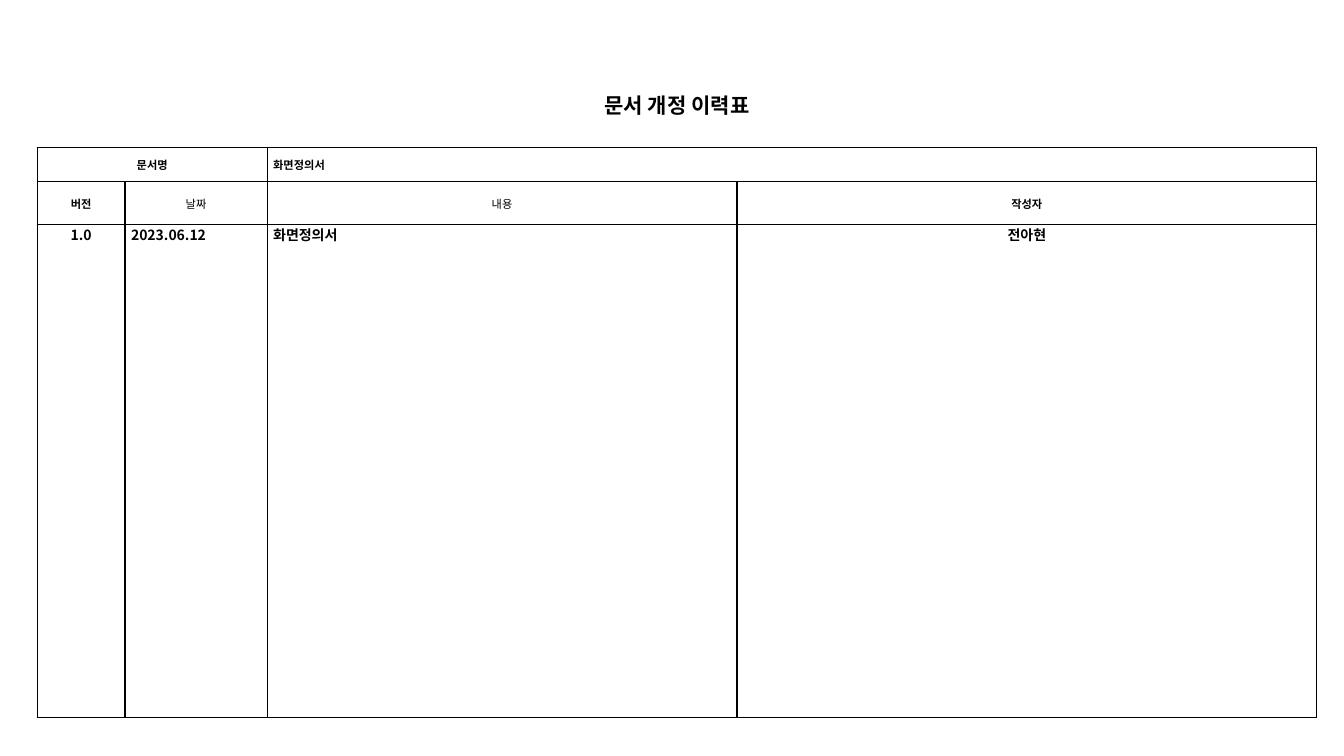
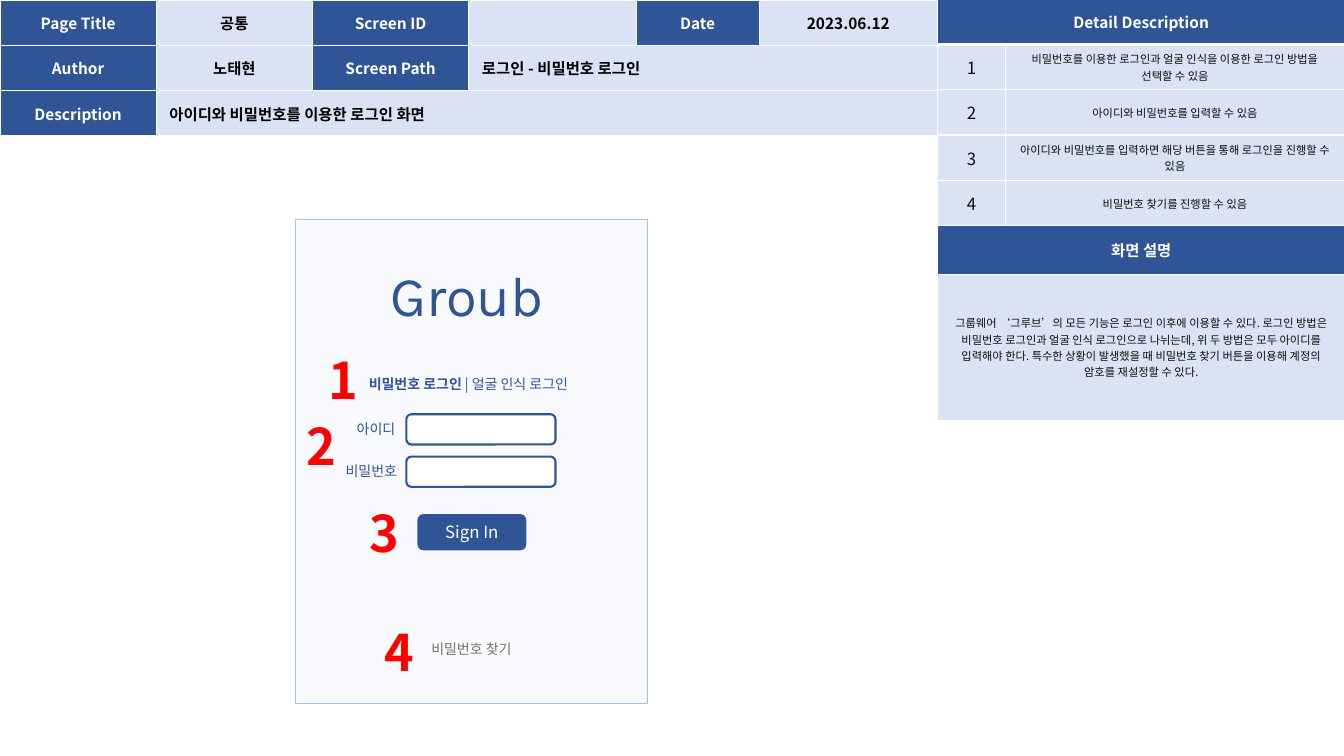
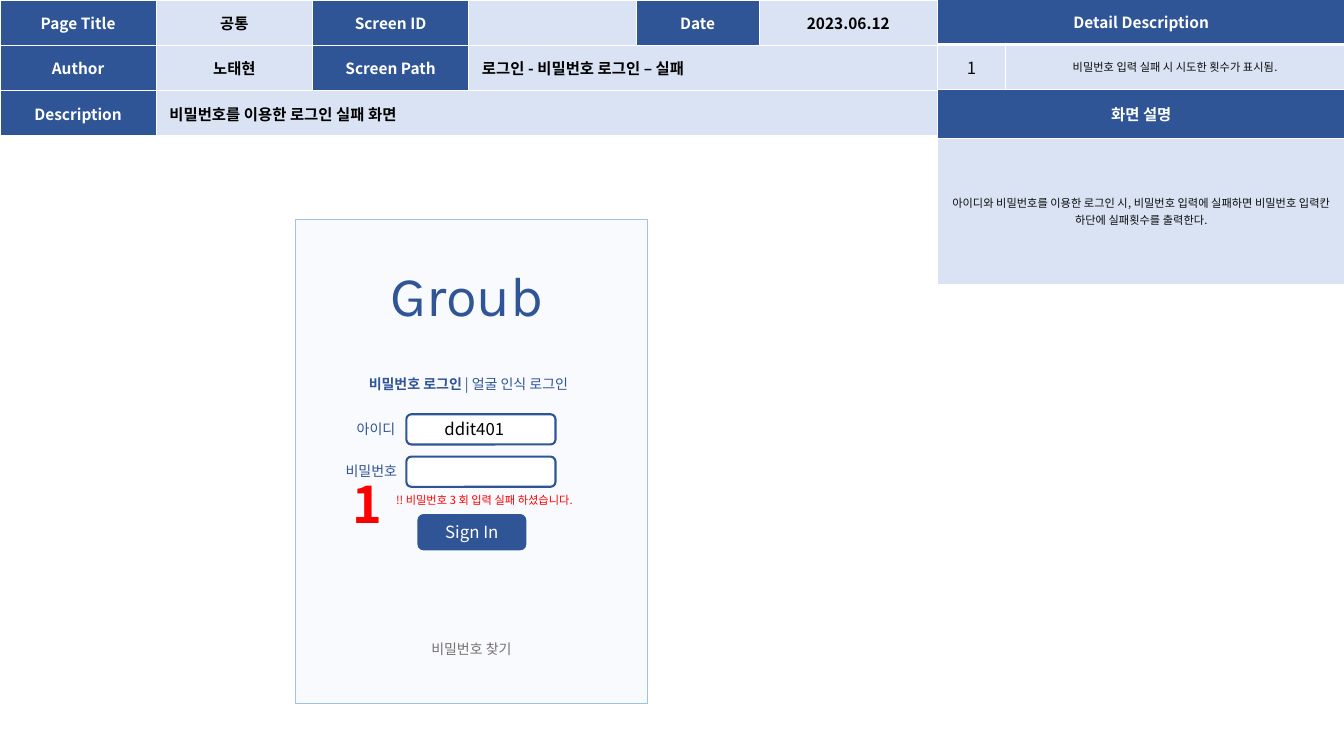
import lxml.etree
import pptx
import pptx.dml.color
import pptx.enum.shapes
import pptx.enum.text
import pptx.oxml.ns
import pptx.util

Inches = pptx.util.Inches
Pt = pptx.util.Pt
RGBColor = pptx.dml.color.RGBColor
ALIGN = pptx.enum.text.PP_ALIGN
ANCHOR = pptx.enum.text.MSO_ANCHOR
SHAPE = pptx.enum.shapes.MSO_SHAPE
qn = pptx.oxml.ns.qn

NAVY = RGBColor(0x2F, 0x55, 0x97)
PALE = RGBColor(0xDA, 0xE3, 0xF3)
PANEL = RGBColor(0xF9, 0xFA, 0xFD)
PANEL_EDGE = RGBColor(0x9D, 0xC3, 0xE6)
WHITE = RGBColor(0xFF, 0xFF, 0xFF)
BLACK = RGBColor(0, 0, 0)
INK = RGBColor(0x0D, 0x0D, 0x0D)
GREY = RGBColor(0x76, 0x71, 0x71)
RED = RGBColor(0xFF, 0, 0)

BODY_FONT = "Noto Sans CJK KR"
LOGIN_FONT = "Karla"
WIDE_MARGINS = (0.13, 0.05)
SMALL_MARGINS = (0.1, 0.04)
HISTORY_MARGINS = (0.06, 0)


class Deck:
    def __init__(self):
        self.presentation = pptx.Presentation()
        self.presentation.slide_width = Inches(13.33)
        self.presentation.slide_height = Inches(7.5)
        self.slide = None

    def new_slide(self):
        self.slide = self.presentation.slides.add_slide(self.presentation.slide_layouts[6])

    def style(self, font, size, color, bold=False, name=BODY_FONT):
        font.size = Pt(size)
        font.bold = bold
        font.color.rgb = color
        font.name = name
        latin = font._element.find(qn("a:latin"))
        east_asian = lxml.etree.Element(qn("a:ea"), typeface=name)
        latin.addnext(east_asian)

    def table(self, left, top, columns, rows):
        frame = self.slide.shapes.add_table(
            len(rows), len(columns), Inches(left), Inches(top),
            Inches(sum(columns)), Inches(sum(rows)))
        table = frame.table
        table.first_row = False
        table.horz_banding = False
        for column, width in zip(table.columns, columns):
            column.width = Inches(width)
        for row, height in zip(table.rows, rows):
            row.height = Inches(height)
        return table

    def borders(self, cell, colors, widths):
        properties = cell._tc.get_or_add_tcPr()
        for index, side in enumerate(("lnL", "lnR", "lnT", "lnB")):
            line = lxml.etree.Element(qn("a:" + side), w=str(Pt(widths[index])))
            fill = lxml.etree.SubElement(line, qn("a:solidFill"))
            lxml.etree.SubElement(fill, qn("a:srgbClr"), val=str(colors[index]))
            properties.insert(index, line)

    def cell(self, table, row, column, text, size, color, bold=True, align=ALIGN.CENTER,
             fill=None, span=1, margins=WIDE_MARGINS, anchor=ANCHOR.MIDDLE,
             edges=(WHITE,) * 4, widths=(1,) * 4):
        cell = table.cell(row, column)
        if span > 1:
            cell.merge(table.cell(row, column + span - 1))
        for offset in range(span):
            part = table.cell(row, column + offset)
            self.borders(part, edges, widths)
            if fill is None:
                part.fill.background()
            else:
                part.fill.solid()
                part.fill.fore_color.rgb = fill
        cell.margin_left = cell.margin_right = Inches(margins[0])
        cell.margin_top = cell.margin_bottom = Inches(margins[1])
        cell.vertical_anchor = anchor
        paragraph = cell.text_frame.paragraphs[0]
        paragraph.text = text
        paragraph.alignment = align
        self.style(paragraph.font, size, color, bold)
        return cell

    def label(self, left, top, width, height, text, size, color, bold=False,
              name=BODY_FONT, shapes=None):
        shapes = shapes or self.slide.shapes
        box = shapes.add_textbox(Inches(left), Inches(top), Inches(width), Inches(height))
        frame = box.text_frame
        frame.word_wrap = True
        frame.auto_size = pptx.enum.text.MSO_AUTO_SIZE.SHAPE_TO_FIT_TEXT
        paragraph = frame.paragraphs[0]
        paragraph.text = text
        self.style(paragraph.font, size, color, bold, name)

    def box(self, kind, left, top, width, height, fill, line=None, weight=1.5, shapes=None):
        shapes = shapes or self.slide.shapes
        shape = shapes.add_shape(kind, Inches(left), Inches(top), Inches(width), Inches(height))
        shape.shadow.inherit = False
        shape.fill.solid()
        shape.fill.fore_color.rgb = fill
        if line is None:
            shape.line.fill.background()
        else:
            shape.line.color.rgb = line
            shape.line.width = Pt(weight)
        return shape

    def field(self, top, label_left, text):
        shapes = self.slide.shapes.add_group_shape().shapes
        self.label(label_left, top + 0.01, 1.1, 0.27, text, 10, NAVY, shapes=shapes)
        self.box(SHAPE.ROUNDED_RECTANGLE, 4.03, top, 1.48, 0.3, WHITE, NAVY, shapes=shapes)

    def marker(self, left, top, number):
        self.label(left, top, 0.64, 0.71, number, 36, RED, True)

    def header(self, screen_path, description):
        table = self.table(0, 0, [1.55, 1.55, 1.55, 1.66, 1.22, 1.77], [0.45] * 3)
        rows = [
            [("Page Title", 1), ("공통", 1), ("Screen ID", 1), ("", 1), ("Date", 1), ("2023.06.12", 1)],
            [("Author", 1), ("노태현", 1), ("Screen Path", 1), (screen_path, 3)],
            [("Description", 1), (description, 5)],
        ]
        for row, entries in enumerate(rows):
            for column, (text, span) in enumerate(entries):
                heading = column % 2 == 0
                self.cell(table, row, column, text, 11, WHITE if heading else BLACK,
                          fill=NAVY if heading else PALE, span=span,
                          align=ALIGN.LEFT if span > 1 else ALIGN.CENTER)

    def details(self, notes, summary):
        table = self.table(9.3, -0.01, [0.67, 3.37], [0.45] * (len(notes) + 1) + [0.48, 1.45])
        self.cell(table, 0, 0, "Detail Description", 11, WHITE, fill=NAVY, span=2,
                  widths=(1, 1, 1, 3))
        for row, note in enumerate(notes, 1):
            self.cell(table, row, 0, str(row), 12, INK, False, fill=PALE)
            self.cell(table, row, 1, note, 8, INK, False, fill=PALE, margins=SMALL_MARGINS)
        row = len(notes) + 1
        self.cell(table, row, 0, "화면 설명", 11, WHITE, fill=NAVY, span=2)
        self.cell(table, row + 1, 0, summary, 8, INK, False, fill=PALE, span=2)

    def login_screen(self):
        self.box(SHAPE.RECTANGLE, 2.93, 2.18, 3.49, 4.8, PANEL, PANEL_EDGE, 0.5)
        self.label(3.77, 2.54, 3.65, 0.77, "Groub", 40, NAVY, name=LOGIN_FONT)
        self.field(4.11, 3.44, "아이디")
        self.field(4.53, 3.33, "비밀번호")
        button = self.box(SHAPE.ROUNDED_RECTANGLE, 4.14, 5.1, 1.08, 0.36, NAVY)
        button.text_frame.vertical_anchor = ANCHOR.MIDDLE
        paragraph = button.text_frame.paragraphs[0]
        paragraph.text = "Sign In"
        paragraph.alignment = ALIGN.CENTER
        self.style(paragraph.font, 12, WHITE)
        self.label(4.18, 6.31, 1.1, 0.27, "비밀번호 찾기", 10, GREY)
        self.login_tabs()

    def login_tabs(self):
        box = self.slide.shapes.add_textbox(Inches(3.56), Inches(3.68), Inches(3.37), Inches(0.27))
        box.text_frame.word_wrap = True
        paragraph = box.text_frame.paragraphs[0]
        for text, bold in (("비밀번호 로그인 ", True), ("| 얼굴 인식 로그인", False)):
            run = paragraph.add_run()
            run.text = text
            self.style(run.font, 10, NAVY, bold)


def history_slide(deck):
    deck.new_slide()
    table = deck.table(0.37, 0.31, [0.87, 1.41, 4.66, 5.75], [1.15, 0.34, 0.43, 4.89])
    title = deck.cell(table, 0, 0, "문서 개정 이력표", 15, BLACK, span=4,
                      margins=HISTORY_MARGINS, edges=(WHITE, WHITE, WHITE, BLACK))
    title.margin_top = Inches(0.31)
    center, left = ALIGN.CENTER, ALIGN.LEFT
    rows = [
        (8, ANCHOR.MIDDLE, [(0, "문서명", True, center, 2), (2, "화면정의서", True, left, 2)]),
        (8, ANCHOR.MIDDLE, [(0, "버전", True, center, 1), (1, "날짜", False, center, 1),
                            (2, "내용", False, center, 1), (3, "작성자", True, center, 1)]),
        (10, ANCHOR.TOP, [(0, "1.0", True, center, 1), (1, "2023.06.12", True, left, 1),
                          (2, "화면정의서", True, left, 1), (3, "전아현", True, center, 1)]),
    ]
    for row, (size, anchor, entries) in enumerate(rows, 1):
        for column, text, bold, align, span in entries:
            deck.cell(table, row, column, text, size, BLACK, bold, align, span=span,
                      margins=HISTORY_MARGINS, anchor=anchor, edges=(BLACK,) * 4)


def login_slide(deck):
    deck.new_slide()
    deck.header("로그인 - 비밀번호 로그인", "아이디와 비밀번호를 이용한 로그인 화면")
    deck.details(
        ["비밀번호를 이용한 로그인과 얼굴 인식을 이용한 로그인 방법을 선택할 수 있음",
         "아이디와 비밀번호를 입력할 수 있음",
         "아이디와 비밀번호를 입력하면 해당 버튼을 통해 로그인을 진행할 수 있음",
         "비밀번호 찾기를 진행할 수 있음"],
        "그룹웨어 ‘그루브’의 모든 기능은 로그인 이후에 이용할 수 있다. 로그인 방법은 "
        "비밀번호 로그인과 얼굴 인식 로그인으로 나뉘는데, 위 두 방법은 모두 아이디를 "
        "입력해야 한다. 특수한 상황이 발생했을 때 비밀번호 찾기 버튼을 이용해 계정의 "
        "암호를 재설정할 수 있다.")
    deck.login_screen()
    positions = [(3.16, 3.41), (2.94, 4.07), (3.57, 4.93), (3.72, 6.11)]
    for number, (left, top) in enumerate(positions, 1):
        deck.marker(left, top, str(number))


def login_failure_slide(deck):
    deck.new_slide()
    deck.header("로그인 - 비밀번호 로그인 – 실패", "비밀번호를 이용한 로그인 실패 화면")
    deck.details(
        ["비밀번호 입력 실패 시 시도한 횟수가 표시됨."],
        "아이디와 비밀번호를 이용한 로그인 시, 비밀번호 입력에 실패하면 비밀번호 "
        "입력칸 하단에 실패횟수를 출력한다.")
    deck.login_screen()
    deck.marker(3.4, 4.64, "1")
    deck.label(4.31, 4.11, 1.31, 0.3, "ddit401", 12, BLACK)
    deck.label(3.83, 4.85, 3.37, 0.24, "!! 비밀번호 3 회 입력 실패 하셨습니다.", 8, RED)


def main():
    deck = Deck()
    history_slide(deck)
    login_slide(deck)
    login_failure_slide(deck)
    deck.presentation.save("out.pptx")


if __name__ == "__main__":
    main()
